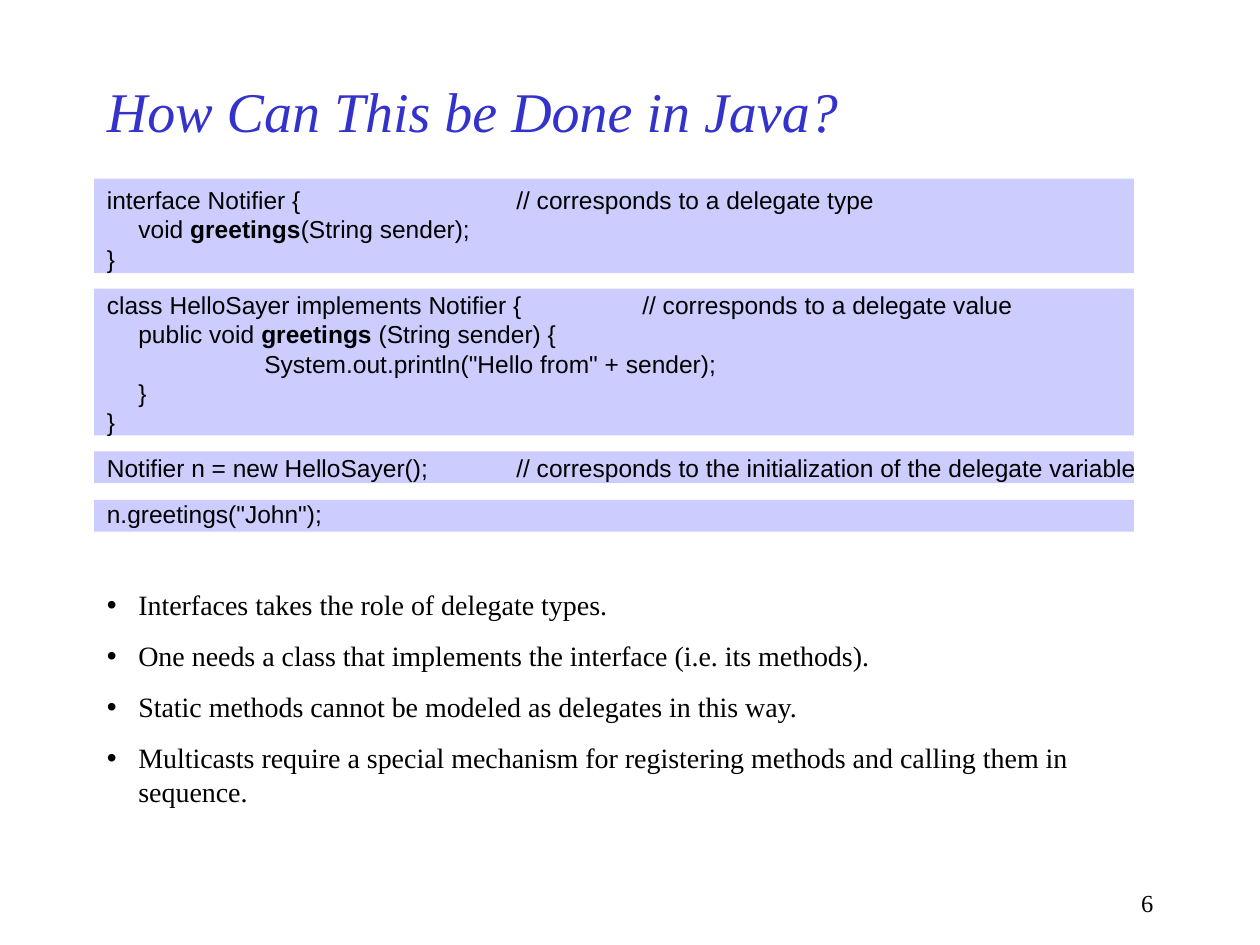
import pptx
import pptx.util
import pptx.dml.color
import pptx.enum.shapes
import pptx.enum.text
import lxml.etree
import pptx.oxml.ns

Cm, Pt = pptx.util.Cm, pptx.util.Pt
COLORS = {"title": "3333CC", "text": "000000", "panel": "CCCCFF"}
CODE_BLOCKS = [
    ["interface Notifier {\t\t// corresponds to a delegate type",
     "\tvoid **greetings**(String sender);",
     "}"],
    ["class HelloSayer implements Notifier {\t// corresponds to a delegate value",
     "\tpublic void **greetings** (String sender) {",
     "\t\tSystem.out.println(\"Hello from\" + sender);",
     "\t}",
     "}"],
    ["Notifier n = new HelloSayer();\t// corresponds to the initialization of the delegate variable"],
    ["n.greetings(\"John\");"],
]
BULLETS = [
    "Interfaces takes the role of delegate types.",
    "One needs a class that implements the interface (i.e. its methods).",
    "Static methods cannot be modeled as delegates in this way.",
    "Multicasts require a special mechanism for registering methods and calling them in sequence.",
]
PANELS = [(3.6, 1.91), (5.82, 2.96), (9.1, 0.64), (10.08, 0.64)]  # top, height in cm
LEFT = Cm(1.9)


def set_font(font, name, size, color):
    font.name, font.size = name, Pt(size)
    font.color.rgb = pptx.dml.color.RGBColor.from_string(COLORS[color])


def add_body_line(frame, text, before, bullet=None):
    """Add a paragraph with a hanging indent; ** marks bold text."""
    para = frame.paragraphs[0]
    if para.runs:
        para = frame.add_paragraph()
    para.space_before, para.space_after = Pt(before), Pt(0)
    properties = para._p.get_or_add_pPr()
    properties.set("marL", str(Cm(0.635)))
    properties.set("indent", str(-Cm(0.635)))
    properties.set("defTabSz", str(Cm(2.54)))
    tag = "a:buChar" if bullet else "a:buNone"
    mark = lxml.etree.SubElement(properties, pptx.oxml.ns.qn(tag))
    if bullet:
        mark.set("char", bullet)
    for index, part in enumerate(text.split("**")):
        span = para.add_run()
        span.text = part
        if index % 2:
            span.font.bold = True
    return para


deck = pptx.Presentation()
deck.slide_width, deck.slide_height = Cm(25.4), Cm(19.05)
page = deck.slides.add_slide(deck.slide_layouts[1])
title, body = page.placeholders

for top, height in PANELS:
    panel = page.shapes.add_shape(
        pptx.enum.shapes.MSO_SHAPE.RECTANGLE, LEFT, Cm(top), Cm(20.96), Cm(height))
    panel.shadow.inherit = False
    panel.fill.solid()
    panel.fill.fore_color.rgb = pptx.dml.color.RGBColor.from_string(COLORS["panel"])
    panel.line.fill.background()

# Bring the text in front of the panels
for placeholder in (title, body):
    page.shapes._spTree.append(placeholder._element)

title.left, title.top, title.width, title.height = LEFT, Cm(1.27), Cm(19.05), Cm(1.91)
title.text_frame.text = "How Can This be Done in Java?"
title.text_frame.auto_size = pptx.enum.text.MSO_AUTO_SIZE.NONE
title.text_frame.vertical_anchor = pptx.enum.text.MSO_ANCHOR.MIDDLE
heading = title.text_frame.paragraphs[0]
heading.alignment = pptx.enum.text.PP_ALIGN.LEFT
set_font(heading.font, "Times New Roman", 32, "title")
heading.font.italic = True

body.left, body.top, body.width, body.height = LEFT, Cm(3.6), Cm(21.59), Cm(13.97)
body.text_frame.auto_size = pptx.enum.text.MSO_AUTO_SIZE.NONE
for block_index, block in enumerate(CODE_BLOCKS):
    for line_index, line in enumerate(block):
        before = 9.5 if block_index and not line_index else 0
        para = add_body_line(body.text_frame, line, before)
        set_font(para.font, "Arial", 14, "text")
for index, line in enumerate(BULLETS):
    para = add_body_line(body.text_frame, line, 10 if index else 33.6, "•")
    set_font(para.font, "Times New Roman", 16, "text")

box = page.shapes.add_textbox(Cm(18.21), Cm(17.78), Cm(5.29), Cm(0.84))
box.text_frame.word_wrap = True
para = box.text_frame.paragraphs[0]
para.text = "6"
para.alignment = pptx.enum.text.PP_ALIGN.RIGHT
set_font(para.font, "Times New Roman", 14, "text")

deck.save("out.pptx")
